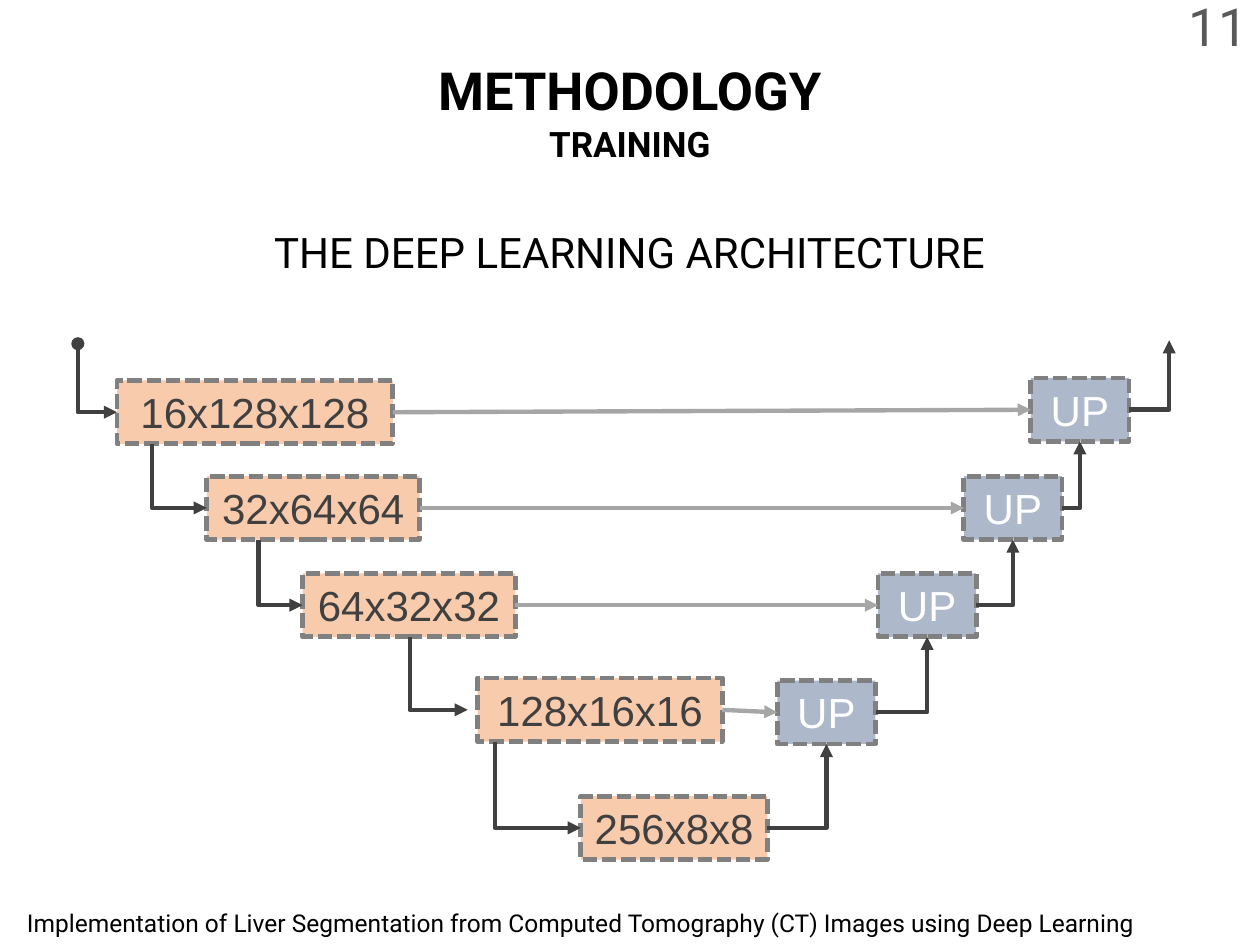
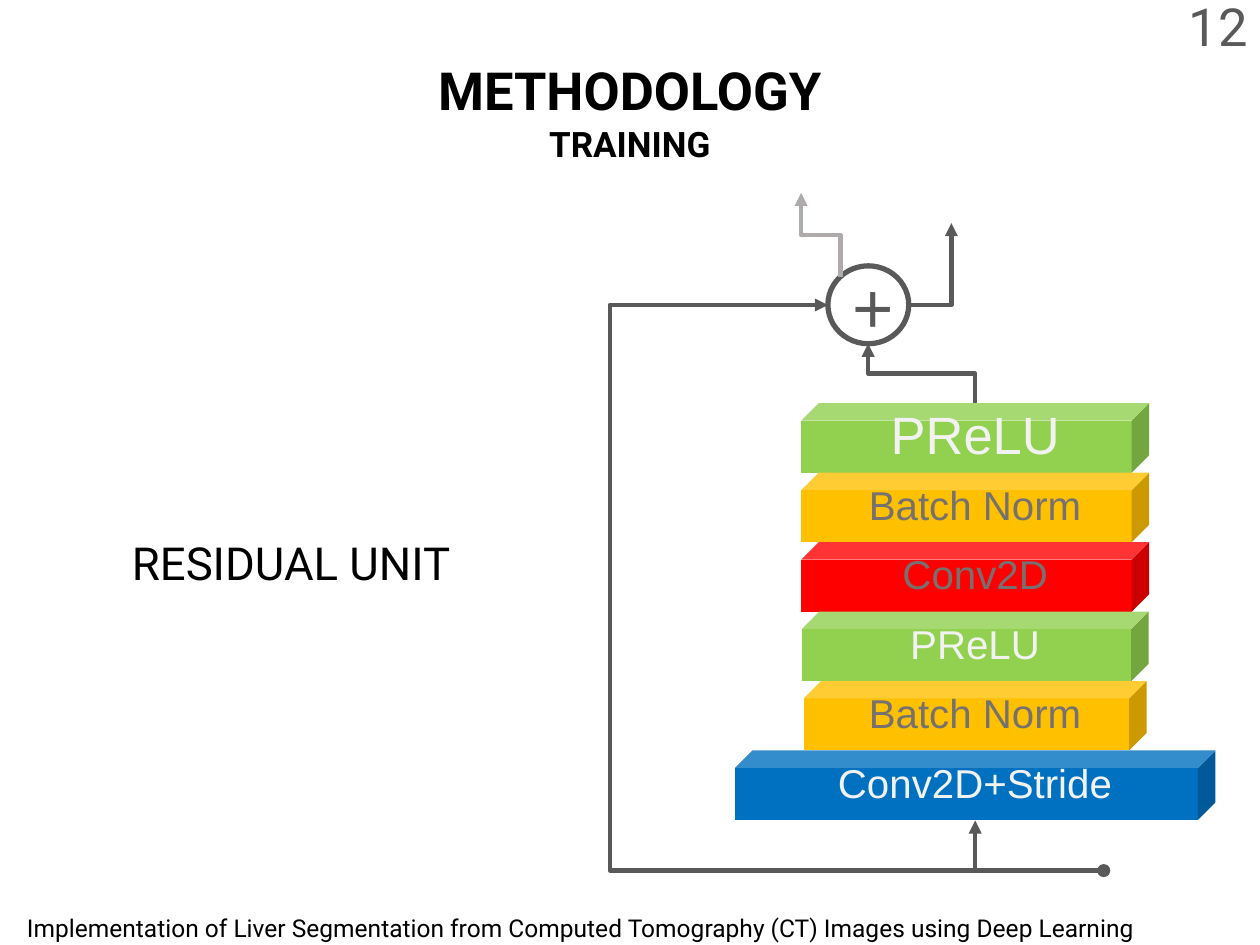
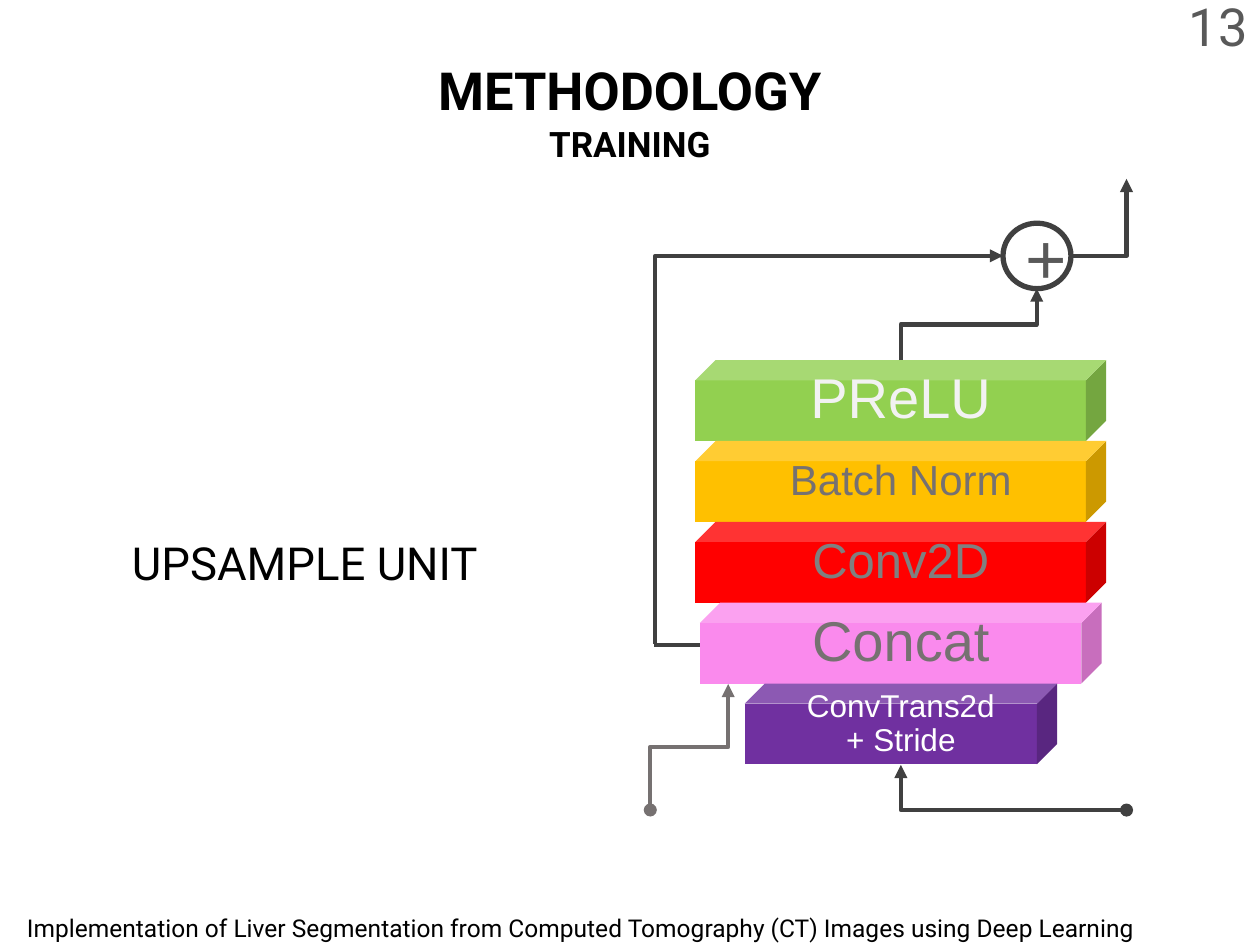
from dataclasses import dataclass

from lxml import etree
from pptx import Presentation
from pptx.dml.color import RGBColor
from pptx.enum.dml import MSO_LINE
from pptx.enum.shapes import MSO_CONNECTOR, MSO_SHAPE
from pptx.enum.text import MSO_ANCHOR, PP_ALIGN
from pptx.oxml.ns import qn
from pptx.util import Cm, Pt

STRAIGHT, ELBOW = MSO_CONNECTOR.STRAIGHT, MSO_CONNECTOR.ELBOW
RECTANGLE, CUBE, JUNCTION = MSO_SHAPE.RECTANGLE, MSO_SHAPE.CUBE, MSO_SHAPE.FLOWCHART_CONNECTOR
LEFT, CENTER, RIGHT = PP_ALIGN.LEFT, PP_ALIGN.CENTER, PP_ALIGN.RIGHT
TOP, MIDDLE = MSO_ANCHOR.TOP, MSO_ANCHOR.MIDDLE
SHORT_DASH = MSO_LINE.SQUARE_DOT
SIDE_LEFT, SIDE_RIGHT = 1, 3


@dataclass(frozen=True)
class Theme:
    heading_font: str = "Roboto"
    diagram_font: str = "Arial"
    black: str = "000000"
    white: str = "FFFFFF"
    pale: str = "F2F2F2"
    charcoal: str = "404040"
    slate: str = "595959"
    stone: str = "767171"
    gray: str = "808080"
    skip: str = "A6A6A6"
    faint: str = "AFABAB"
    encoder: str = "F8CBAD"
    decoder: str = "ADB9CA"
    green: str = "92D050"
    amber: str = "FFC000"
    red: str = "FF0000"
    blue: str = "0070C0"
    pink: str = "FA8AED"
    purple: str = "7030A0"
    title_size: float = 30
    subtitle_size: float = 20
    footer_size: float = 14
    topic_size: float = 24
    unit_size: float = 26
    block_size: float = 24
    plus_size: float = 40.5
    wire_width: float = 2.5
    block_border: float = 2.75
    junction_border: float = 3


THEME = Theme()
FOOTER = ("Implementation of Liver Segmentation from Computed Tomography (CT) "
          "Images using Deep Learning")
BLOCK_HEIGHT = 1.28
UP_WIDTH = 1.98
LABEL_SHARE = 0.65


def rgb(color):
    return RGBColor.from_string(color)


def apply_format(target, values):
    for attribute, value in values.items():
        setattr(target, attribute, value)


def write(shape, text, size, color, font=THEME.diagram_font, bold=False,
          align=CENTER, anchor=TOP, wrap=True, inset=None, spacing=None):
    frame = shape.text_frame
    frame_format = {"word_wrap": wrap, "vertical_anchor": anchor}
    if inset is not None:
        sides = ("margin_left", "margin_right", "margin_top", "margin_bottom")
        frame_format.update(dict.fromkeys(sides, Cm(inset)))
    apply_format(frame, frame_format)
    paragraph = frame.paragraphs[0]
    apply_format(paragraph, {"alignment": align, "line_spacing": spacing})
    run = paragraph.add_run()
    run.text = text
    apply_format(run.font, {"name": font, "size": Pt(size), "bold": bold})
    run.font.color.rgb = rgb(color)


def add_text(slide, box, text, size, color=THEME.black, **style):
    label = slide.shapes.add_textbox(*map(Cm, box))
    write(label, text, size, color, **style)


def add_solid(slide, kind, box, fill, border=None, border_width=0):
    solid = slide.shapes.add_shape(kind, *map(Cm, box))
    solid.shadow.inherit = False
    solid.fill.solid()
    solid.fill.fore_color.rgb = rgb(fill)
    if border:
        solid.line.color.rgb = rgb(border)
        solid.line.width = Pt(border_width)
    else:
        solid.line.fill.background()
    return solid


def style_wire(wire, color, head, tail):
    wire.line.color.rgb = rgb(color)
    wire.line.width = Pt(THEME.wire_width)
    properties = wire.element.spPr
    outline = properties.find(qn("a:ln"))
    for tag, kind in (("a:headEnd", head), ("a:tailEnd", tail)):
        if kind:
            etree.SubElement(outline, qn(tag)).set("type", kind)
    etree.SubElement(properties, qn("a:effectLst"))


def add_straight(slide, start, end, color, head=None, tail=None):
    wire = slide.shapes.add_connector(STRAIGHT, *map(Cm, start + end))
    style_wire(wire, color, head, tail)
    return wire


def orient(dx, dy, upright):
    if upright:
        if dx > 0 > dy:
            return 90, True, True
        return 270, dy > 0, dx < 0
    if dx < 0 and dy < 0:
        return 180, False, False
    return 0, dx < 0, dy < 0


def add_elbow(slide, start, end, color, bends=1, upright=False,
              head=None, tail="triangle", detour=None):
    (x1, y1), (x2, y2) = start, end
    dx, dy = x2 - x1, y2 - y1
    width, height = (abs(dy), abs(dx)) if upright else (abs(dx), abs(dy))
    left, top = (x1 + x2 - width) / 2, (y1 + y2 - height) / 2
    wire = slide.shapes.add_connector(
        ELBOW, Cm(left), Cm(top), Cm(left + width), Cm(top + height))
    turn, flip_h, flip_v = orient(dx, dy, upright)
    frame = wire.element.spPr.find(qn("a:xfrm"))
    for key, value in (("rot", turn * 60000), ("flipH", int(flip_h)), ("flipV", int(flip_v))):
        if value:
            frame.set(key, str(value))
    geometry = wire.element.spPr.find(qn("a:prstGeom"))
    geometry.set("prst", f"bentConnector{bends + 1}")
    if detour:
        shares = ((detour[0] - x1) / dx, (detour[1] - y1) / dy)
        for number, share in enumerate(shares, 1):
            guide = etree.SubElement(geometry.find(qn("a:avLst")), qn("a:gd"))
            guide.set("name", f"adj{number}")
            guide.set("fmla", f"val {round(share * 100000)}")
    style_wire(wire, color, head, tail)


def add_block(slide, box, text, fill, color):
    block = add_solid(slide, RECTANGLE, box, fill, THEME.gray, THEME.block_border)
    block.line.dash_style = SHORT_DASH
    write(block, text, THEME.block_size, color)
    return block


def add_plus(slide, box, border):
    junction = add_solid(slide, JUNCTION, box, THEME.white, border, THEME.junction_border)
    write(junction, "+", THEME.plus_size, THEME.slate, anchor=MIDDLE)


def add_stack(slide, center, top, height, layers):
    for level, (text, width, fill, size, color) in enumerate(layers):
        y = top + level * height
        add_solid(slide, CUBE, (center - width / 2, y, width, height), fill)
        label_width = width * LABEL_SHARE
        add_text(slide, (center - label_width / 2, y, label_width, height), text, size,
                 color, anchor=MIDDLE, inset=0.09, spacing=0.9)


def add_base(deck, number, footer_top=18.29):
    slide = deck.slides.add_slide(deck.slide_layouts[6])
    heading = {"font": THEME.heading_font}
    add_text(slide, (-0.99, footer_top, 25.4, 0.86), FOOTER, THEME.footer_size, **heading)
    add_text(slide, (19.69, 0, 5.71, 1.02), number, THEME.title_size, THEME.slate,
             align=RIGHT, anchor=MIDDLE, **heading)
    add_text(slide, (8.1, 1.04, 9.2, 1.55), "METHODOLOGY", THEME.title_size,
             bold=True, wrap=False, **heading)
    add_text(slide, (10.59, 2.34, 4.22, 1.12), "TRAINING", THEME.subtitle_size,
             bold=True, wrap=False, **heading)
    return slide


def add_unit_name(slide, text):
    add_text(slide, (2.41, 10.67, 10.21, 1.37), text, THEME.unit_size,
             font=THEME.heading_font, align=LEFT)


def build_architecture(deck):
    slide = add_base(deck, "11", footer_top=18.19)
    add_text(slide, (4.98, 4.45, 15.42, 1.27), "THE DEEP LEARNING ARCHITECTURE",
             THEME.topic_size, font=THEME.heading_font, wrap=False)
    encoders = [
        ("16x128x128", 2.36, 7.67, 5.56),
        ("32x64x64", 4.17, 9.6, 4.29),
        ("64x32x32", 6.1, 11.56, 4.29),
        ("128x16x16", 9.63, 13.67, 4.93),
        ("256x8x8", 11.71, 16.05, 3.76),
    ]
    decoders = [(20.78, 7.62), (19.43, 9.6), (17.7, 11.56), (15.67, 13.72)]
    half = BLOCK_HEIGHT / 2

    down_blocks = [
        add_block(slide, (x, y, width, BLOCK_HEIGHT), text, THEME.encoder, THEME.charcoal)
        for text, x, y, width in encoders]
    up_blocks = [
        add_block(slide, (x, y, UP_WIDTH, BLOCK_HEIGHT), "UP", THEME.decoder, THEME.white)
        for x, y in decoders]

    for down_block, up_block in zip(down_blocks, up_blocks):
        skip = add_straight(slide, (0, 0), (1, 1), THEME.skip, tail="triangle")
        skip.begin_connect(down_block, SIDE_RIGHT)
        skip.end_connect(up_block, SIDE_LEFT)

    descents = [(3.07, 0), (5.21, 0), (8.26, 0.2), (9.98, 0)]
    for (x, gap), upper, lower in zip(descents, encoders, encoders[1:]):
        add_elbow(slide, (x, upper[2] + BLOCK_HEIGHT), (lower[1] - gap, lower[2] + half),
                  THEME.charcoal, upright=True)

    _, bottom_x, bottom_y, bottom_width = encoders[-1]
    exits = [(x + UP_WIDTH, y + half) for x, y in decoders]
    exits.append((bottom_x + bottom_width, bottom_y + half))
    for (x, y), origin in zip(decoders, exits[1:]):
        add_elbow(slide, origin, (x + UP_WIDTH / 2, y + BLOCK_HEIGHT), THEME.charcoal)

    add_elbow(slide, (1.57, 6.93), (2.36, 8.31), THEME.charcoal, upright=True, head="oval")
    add_elbow(slide, exits[0], (23.57, 6.86), THEME.charcoal)


def build_residual_unit(deck):
    slide = add_base(deck, "12")
    add_stack(slide, 19.66, 8.13, 1.4, [
        ("PReLU", 7.01, THEME.green, 30, THEME.pale),
        ("Batch Norm", 7.01, THEME.amber, 23, THEME.stone),
        ("Conv2D", 7.01, THEME.red, 23, THEME.stone),
        ("PReLU", 6.99, THEME.green, 23, THEME.pale),
        ("Batch Norm", 6.91, THEME.amber, 23, THEME.stone),
        ("Conv2D+Stride", 9.68, THEME.blue, 23, THEME.pale),
    ])
    add_elbow(slide, (16.69, 6.15), (19.66, 16.54), THEME.slate, bends=3,
              head="triangle", detour=(12.29, 17.55))
    add_plus(slide, (16.69, 5.36, 1.63, 1.57), THEME.slate)
    add_elbow(slide, (19.66, 8.13), (17.5, 6.93), THEME.slate, bends=2, upright=True)
    add_elbow(slide, (18.34, 6.15), (19.18, 4.5), THEME.slate)
    add_elbow(slide, (16.94, 5.59), (16.15, 3.89), THEME.faint, bends=2, upright=True)
    add_straight(slide, (22.25, 17.55), (19.66, 17.55), THEME.slate, head="oval")
    add_unit_name(slide, "RESIDUAL UNIT")


def build_upsample_unit(deck):
    slide = add_base(deck, "13")
    add_stack(slide, 18.16, 7.26, 1.63, [
        ("PReLU", 8.28, THEME.green, 32, THEME.pale),
        ("Batch Norm", 8.28, THEME.amber, 24, THEME.stone),
        ("Conv2D", 8.28, THEME.red, 28, THEME.gray),
        ("Concat", 8.1, THEME.pink, 32, THEME.stone),
        ("ConvTrans2d+ Stride", 6.3, THEME.purple, 18, THEME.white),
    ])
    add_plus(slide, (20.22, 4.5, 1.37, 1.32), THEME.charcoal)
    add_elbow(slide, (18.16, 7.26), (20.9, 5.82), THEME.charcoal, bends=2, upright=True)
    add_elbow(slide, (21.59, 5.16), (22.71, 3.61), THEME.charcoal)
    add_elbow(slide, (22.71, 16.33), (18.16, 15.42), THEME.charcoal, head="oval")
    add_elbow(slide, (13.11, 16.33), (14.68, 13.79), THEME.stone, bends=2,
              upright=True, head="oval")
    add_elbow(slide, (13.21, 12.98), (20.22, 5.16), THEME.charcoal, upright=True)
    add_straight(slide, (13.18, 13), (14.12, 13), THEME.charcoal)
    add_unit_name(slide, "UPSAMPLE UNIT")


def main():
    deck = Presentation()
    deck.slide_width, deck.slide_height = Cm(25.4), Cm(19.05)
    build_architecture(deck)
    build_residual_unit(deck)
    build_upsample_unit(deck)
    deck.save("out.pptx")


if __name__ == "__main__":
    main()
